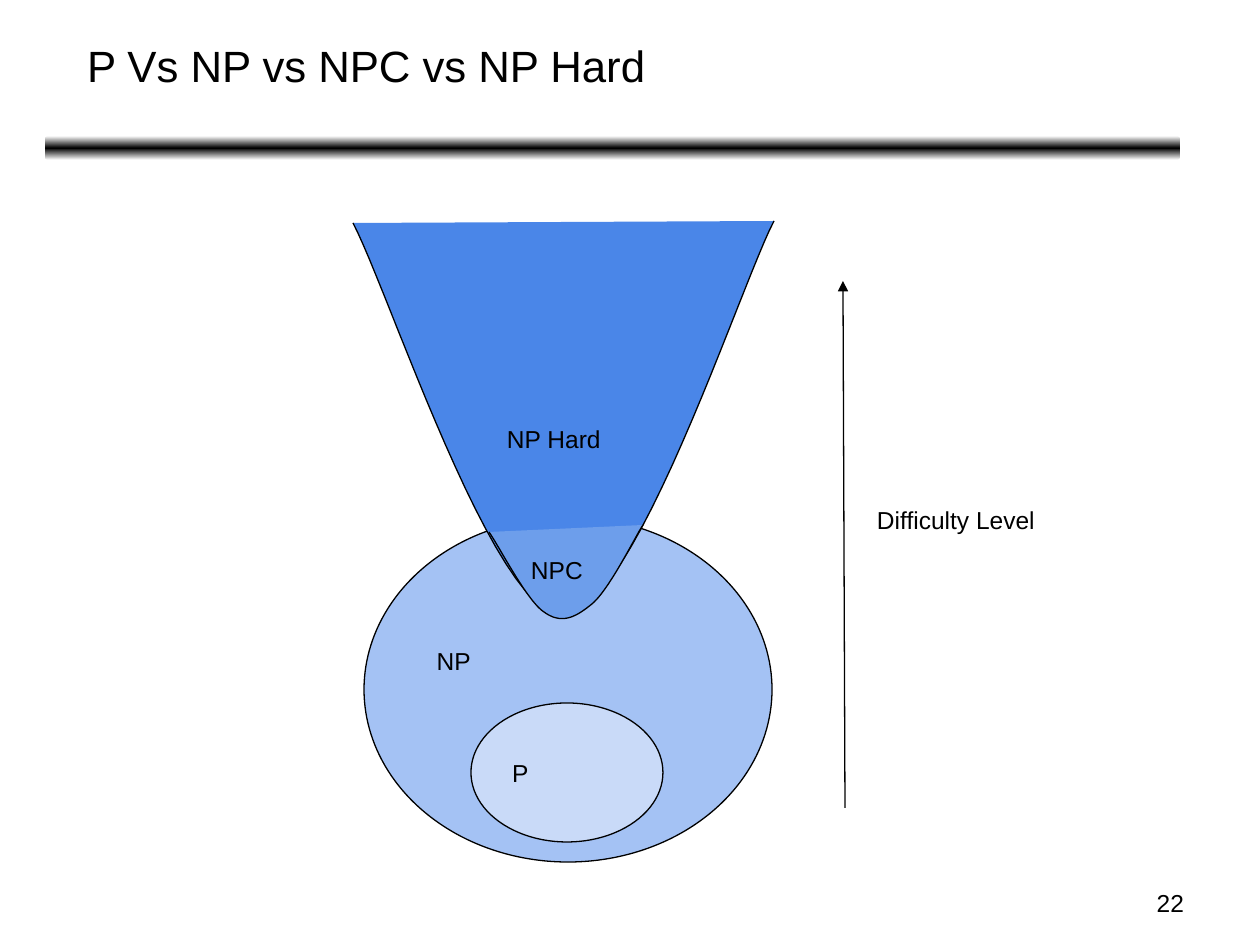
from dataclasses import dataclass

import pptx
import pptx.dml.color
import pptx.enum.shapes
import pptx.enum.text
import pptx.oxml
import pptx.oxml.ns
import pptx.util

PX = 914400 / 126
FONT = "Arial"
COLORS = {
    "ink": "000000",
    "paper": "FFFFFF",
    "np_hard": "4A86E8",
    "npc": "6D9EEB",
    "np": "A4C2F4",
    "p": "C9DAF8",
}
SHAPES = pptx.enum.shapes.MSO_SHAPE
ANCHOR = pptx.enum.text.MSO_ANCHOR
ALIGN = pptx.enum.text.PP_ALIGN
Point = tuple[int, int]


@dataclass(frozen=True)
class Box:
    left: int
    top: int
    width: int
    height: int

    def emu(self) -> list[int]:
        return [px(v) for v in (self.left, self.top, self.width, self.height)]


@dataclass(frozen=True)
class SetEllipse:
    text: str
    box: Box
    color: str
    bottom_inset: int = 13


@dataclass(frozen=True)
class SetCurve:
    """Open region: a start point and cubic segments of three points each."""
    start: Point
    segments: list[tuple[Point, Point, Point]]
    color: str


@dataclass(frozen=True)
class Label:
    text: str
    box: Box
    align: ALIGN = ALIGN.LEFT
    inset: int = 13


ELLIPSES = [
    SetEllipse("NP", Box(364, 517, 408, 345), "np", bottom_inset=71),
    SetEllipse("P", Box(471, 703, 192, 139), "p"),
]
CURVES = [
    SetCurve((353, 223), [((388, 289), (494, 616), (563, 616)),
                          ((634, 615), (740, 286), (774, 221))], "np_hard"),
    SetCurve((489, 532), [((499, 546), (527, 601), (544, 612)),
                          ((562, 625), (576, 617), (592, 604)),
                          ((609, 590), (634, 539), (643, 525))], "npc"),
]
LABELS = [
    Label("NPC", Box(518, 542, 231, 55)),
    Label("Difficulty Level", Box(864, 492, 209, 55)),
    Label("NP Hard", Box(494, 411, 129, 55)),
    Label("22", Box(903, 882, 294, 44), ALIGN.RIGHT, inset=6),
]


def px(value: float) -> int:
    return round(value * PX)


def rgb(name: str) -> pptx.dml.color.RGBColor:
    return pptx.dml.color.RGBColor.from_string(COLORS[name])


def write(shape, text: str, *, size: int = 14, align=ALIGN.LEFT,
          anchor=ANCHOR.TOP, inset: int = 13, bottom_inset: int | None = None) -> None:
    frame = shape.text_frame
    frame.word_wrap = True
    frame.auto_size = pptx.enum.text.MSO_AUTO_SIZE.NONE
    frame.vertical_anchor = anchor
    frame.margin_left = frame.margin_right = px(13)
    frame.margin_top = px(inset)
    frame.margin_bottom = px(inset if bottom_inset is None else bottom_inset)
    paragraph = frame.paragraphs[0]
    paragraph.alignment = align
    run = paragraph.add_run()
    run.text = text
    run.font.name = FONT
    run.font.size = pptx.util.Pt(size)
    run.font.color.rgb = rgb("ink")


def outline(line) -> None:
    line.color.rgb = rgb("ink")
    line.width = pptx.util.Pt(0.75)


def paint(shape, color: str) -> None:
    shape.shadow.inherit = False
    shape.fill.solid()
    shape.fill.fore_color.rgb = rgb(color)
    outline(shape.line)


def add_title(slide, text: str) -> None:
    title = slide.shapes.title
    title.left, title.top, title.width, title.height = Box(74, 26, 960, 78).emu()
    write(title, text, size=25)


def add_rule(slide) -> None:
    """Draw the bar under the title, dark in the middle and fading to both edges."""
    bar = slide.shapes.add_shape(SHAPES.ROUNDED_RECTANGLE, *Box(45, 136, 1135, 24).emu())
    bar.shadow.inherit = False
    bar.line.fill.background()
    bar.fill.gradient()
    bar.fill.gradient_angle = 90
    stops = bar._element.spPr.find(".//" + pptx.oxml.ns.qn("a:gsLst"))
    for stop in list(stops):
        stops.remove(stop)
    for position, color in ((0, "paper"), (50000, "ink"), (100000, "paper")):
        stops.append(pptx.oxml.parse_xml(
            f'<a:gs {pptx.oxml.ns.nsdecls("a")} pos="{position}">'
            f'<a:srgbClr val="{COLORS[color]}"/></a:gs>'))


def add_ellipse(slide, ellipse: SetEllipse) -> None:
    shape = slide.shapes.add_shape(SHAPES.OVAL, *ellipse.box.emu())
    paint(shape, ellipse.color)
    write(shape, ellipse.text, anchor=ANCHOR.MIDDLE, bottom_inset=ellipse.bottom_inset)


def bezier(points: tuple[Point, ...], t: float) -> tuple[float, float]:
    weights = ((1 - t) ** 3, 3 * t * (1 - t) ** 2, 3 * t * t * (1 - t), t ** 3)
    x, y = (sum(w * p[axis] for w, p in zip(weights, points)) for axis in (0, 1))
    return x, y


def add_curve(slide, curve: SetCurve, steps: int = 24) -> None:
    builder = slide.shapes.build_freeform(*map(px, curve.start))
    start = curve.start
    for segment in curve.segments:
        points = [bezier((start, *segment), i / steps) for i in range(1, steps + 1)]
        builder.add_line_segments([(px(x), px(y)) for x, y in points], close=False)
        start = segment[-1]
    paint(builder.convert_to_shape(), curve.color)


def add_label(slide, label: Label) -> None:
    shape = slide.shapes.add_textbox(*label.box.emu())
    write(shape, label.text, align=label.align, inset=label.inset)


def add_arrow(slide, start: Point, end: Point) -> None:
    arrow = slide.shapes.add_connector(
        pptx.enum.shapes.MSO_CONNECTOR.STRAIGHT, *map(px, start + end))
    outline(arrow.line)
    properties = arrow._element.spPr
    pptx.oxml.ns.qn("a:ln")
    line = properties.find(pptx.oxml.ns.qn("a:ln"))
    namespace = pptx.oxml.ns.nsdecls("a")
    line.append(pptx.oxml.parse_xml(f'<a:tailEnd {namespace} type="triangle"/>'))
    properties.append(pptx.oxml.parse_xml(f"<a:effectLst {namespace}/>"))


def main() -> None:
    presentation = pptx.Presentation()
    presentation.slide_width = px(1260)
    presentation.slide_height = px(945)
    slide = presentation.slides.add_slide(presentation.slide_layouts[5])
    add_title(slide, "P Vs NP vs NPC vs NP Hard")
    add_rule(slide)
    for ellipse in ELLIPSES:
        add_ellipse(slide, ellipse)
    for curve in CURVES:
        add_curve(slide, curve)
    for label in LABELS:
        add_label(slide, label)
    add_arrow(slide, (845, 808), (843, 281))
    presentation.save("out.pptx")


if __name__ == "__main__":
    main()
